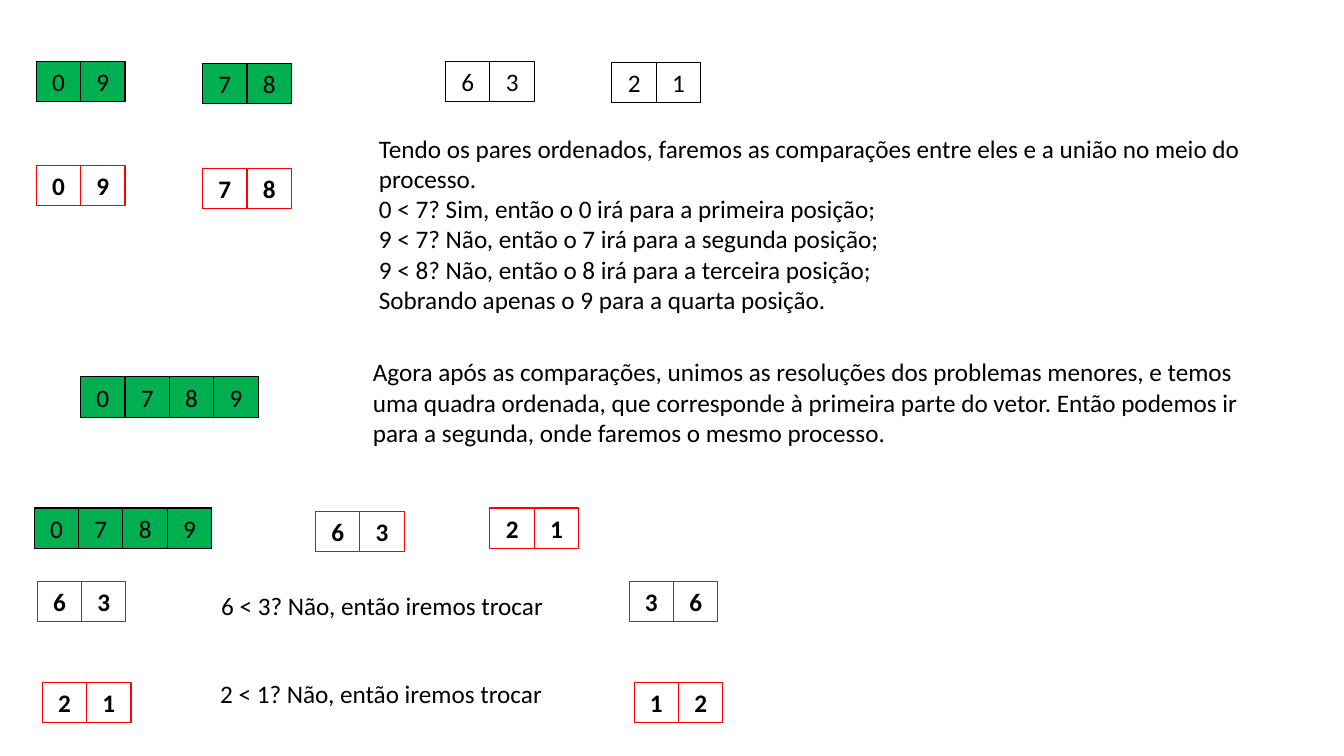
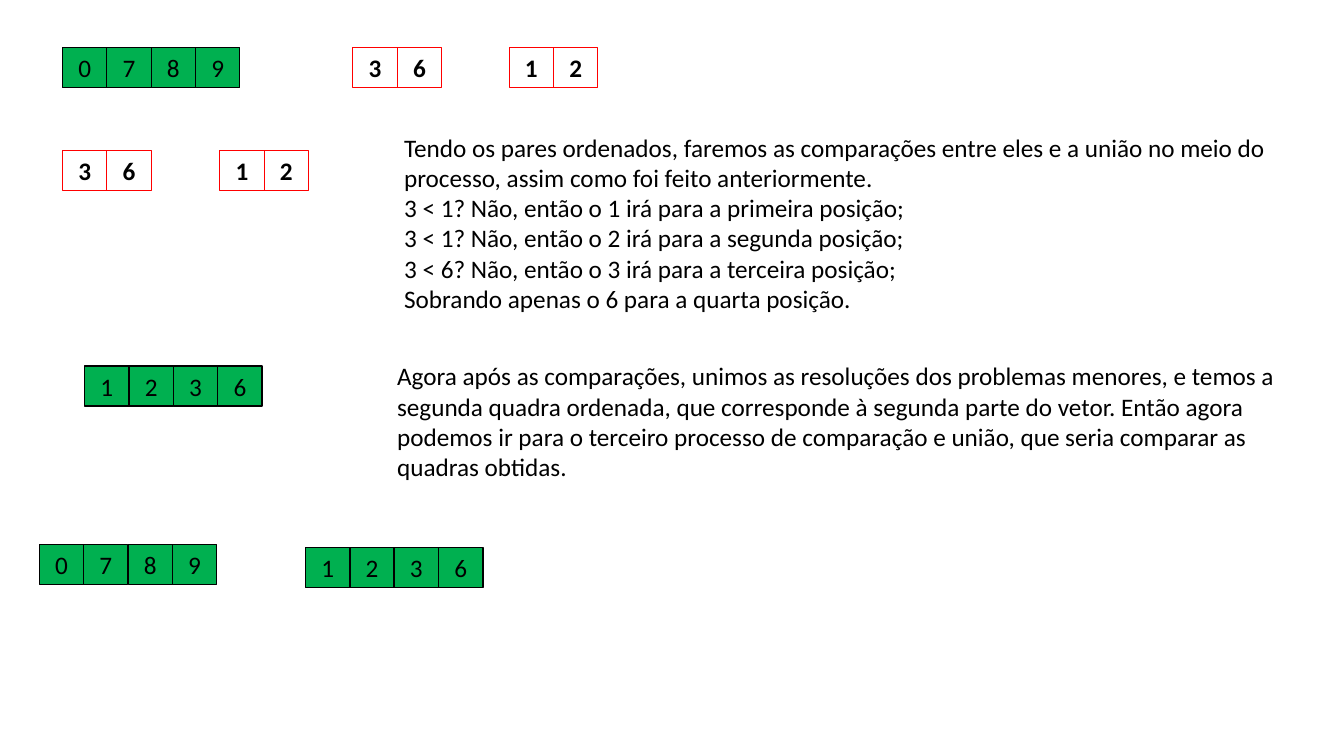
from pptx import Presentation
from pptx.dml.color import RGBColor
from pptx.enum.shapes import MSO_SHAPE
from pptx.enum.text import MSO_AUTO_SIZE, PP_ALIGN
from pptx.util import Pt

RECT = MSO_SHAPE.RECTANGLE
GROW = MSO_AUTO_SIZE.SHAPE_TO_FIT_TEXT
LEFT, CENTER = PP_ALIGN.LEFT, PP_ALIGN.CENTER

PX = 9144  # 100 px to the inch
CELL_W, CELL_H = 44, 40
NOTE_W = 907
FONT, SIZE = "Calibri", 18
COLORS = {"green": "00B050", "black": "000000", "red": "FF0000"}

# Cell looks: fill, line colour, bold digits
LOOKS = {
    "plain": (None, "black", False),
    "done": ("green", "black", False),
    "open": (None, "red", True),
}

MERGE_A = (
    "Tendo os pares ordenados, faremos as comparações entre eles e a união "
    "no meio do processo.\n"
    "0 < 7? Sim, então o 0 irá para a primeira posição;\n"
    "9 < 7? Não, então o 7 irá para a segunda posição;\n"
    "9 < 8? Não, então o 8 irá para a terceira posição;\n"
    "Sobrando apenas o 9 para a quarta posição."
)
JOIN_A = (
    "Agora após as comparações, unimos as resoluções dos problemas menores, "
    "e temos uma quadra ordenada, que corresponde à primeira parte do vetor. "
    "Então podemos ir para a segunda, onde faremos o mesmo processo."
)
MERGE_B = (
    "Tendo os pares ordenados, faremos as comparações entre eles e a união "
    "no meio do processo, assim como foi feito anteriormente.\n"
    "3 < 1? Não, então o 1 irá para a primeira posição;\n"
    "3 < 1? Não, então o 2 irá para a segunda posição;\n"
    "3 < 6? Não, então o 3 irá para a terceira posição;\n"
    "Sobrando apenas o 6 para a quarta posição."
)
JOIN_B = (
    "Agora após as comparações, unimos as resoluções dos problemas menores, "
    "e temos a segunda quadra ordenada, que corresponde à segunda parte do "
    "vetor. Então agora podemos ir para o terceiro processo de comparação e "
    "união, que seria comparar as quadras obtidas."
)

# Arrays on each slide: digits, left, top, look, line width
ROWS_A = [
    ("09", 36, 61, "done", 1),
    ("78", 201, 63, "done", 1),
    ("63", 442, 61, "plain", 0.75),
    ("21", 607, 62, "plain", 0.75),
    ("09", 36, 164, "open", 1),
    ("78", 201, 167, "open", 1),
    ("0789", 80, 374, "done", 0.75),
    ("0789", 34, 504, "done", 0.75),
    ("63", 313, 507, "open", 0.75),
    ("21", 486, 504, "open", 0.75),
    ("63", 37, 577, "open", 0.75),
    ("36", 624, 577, "open", 0.75),
    ("21", 42, 677, "open", 0.75),
    ("12", 629, 677, "open", 0.75),
]
ROWS_B = [
    ("0789", 62, 47, "done", 0.75),
    ("36", 350, 47, "open", 0.75),
    ("12", 505, 47, "open", 0.75),
    ("36", 62, 149, "open", 0.75),
    ("12", 218, 149, "open", 0.75),
    ("1236", 84, 363, "done", 1),
    ("0789", 39, 540, "done", 0.75),
    ("1236", 303, 543, "done", 1),
]

# Texts on each slide: text, left, top, width, height, alignment
NOTES_A = [
    (MERGE_A, 366, 127, NOTE_W, 192, LEFT),
    (JOIN_A, 360, 349, NOTE_W, 101, LEFT),
    ("6 < 3? Não, então iremos trocar", 186, 581, 386, 40, CENTER),
    ("2 < 1? Não, então iremos trocar", 185, 668, 386, 40, CENTER),
]
NOTES_B = [
    (MERGE_B, 391, 126, NOTE_W, 192, LEFT),
    (JOIN_B, 384, 353, NOTE_W, 131, LEFT),
]


def px(*sizes):
    return [size * PX for size in sizes]


def color(name):
    return RGBColor.from_string(COLORS[name])


def write(shape, text, align, bold=False):
    frame = shape.text_frame
    frame.word_wrap = True
    frame.auto_size = GROW
    frame.text = text
    for para in frame.paragraphs:
        para.alignment = align
        for run in para.runs:
            run.font.name = FONT
            run.font.size = Pt(SIZE)
            run.font.bold = bold
            run.font.color.rgb = color("black")


def add_row(slide, digits, left, top, look, width):
    """Draw an array as a group of touching cells."""
    fill, line, bold = LOOKS[look]
    group = slide.shapes.add_group_shape()
    for i, digit in enumerate(digits):
        place = px(left + i * CELL_W, top, CELL_W, CELL_H)
        cell = group.shapes.add_shape(RECT, *place)
        cell.shadow.inherit = False
        if fill:
            cell.fill.solid()
            cell.fill.fore_color.rgb = color(fill)
        else:
            cell.fill.background()
        cell.line.color.rgb = color(line)
        cell.line.width = Pt(width)
        write(cell, digit, CENTER, bold)


def add_note(slide, text, left, top, width, height, align):
    box = slide.shapes.add_textbox(*px(left, top, width, height))
    write(box, text, align)


def add_page(deck, rows, notes):
    slide = deck.slides.add_slide(deck.slide_layouts[6])
    for row in rows:
        add_row(slide, *row)
    for note in notes:
        add_note(slide, *note)


def main():
    deck = Presentation()
    deck.slide_width, deck.slide_height = px(1333, 750)
    add_page(deck, ROWS_A, NOTES_A)
    add_page(deck, ROWS_B, NOTES_B)
    deck.save("out.pptx")


if __name__ == "__main__":
    main()
